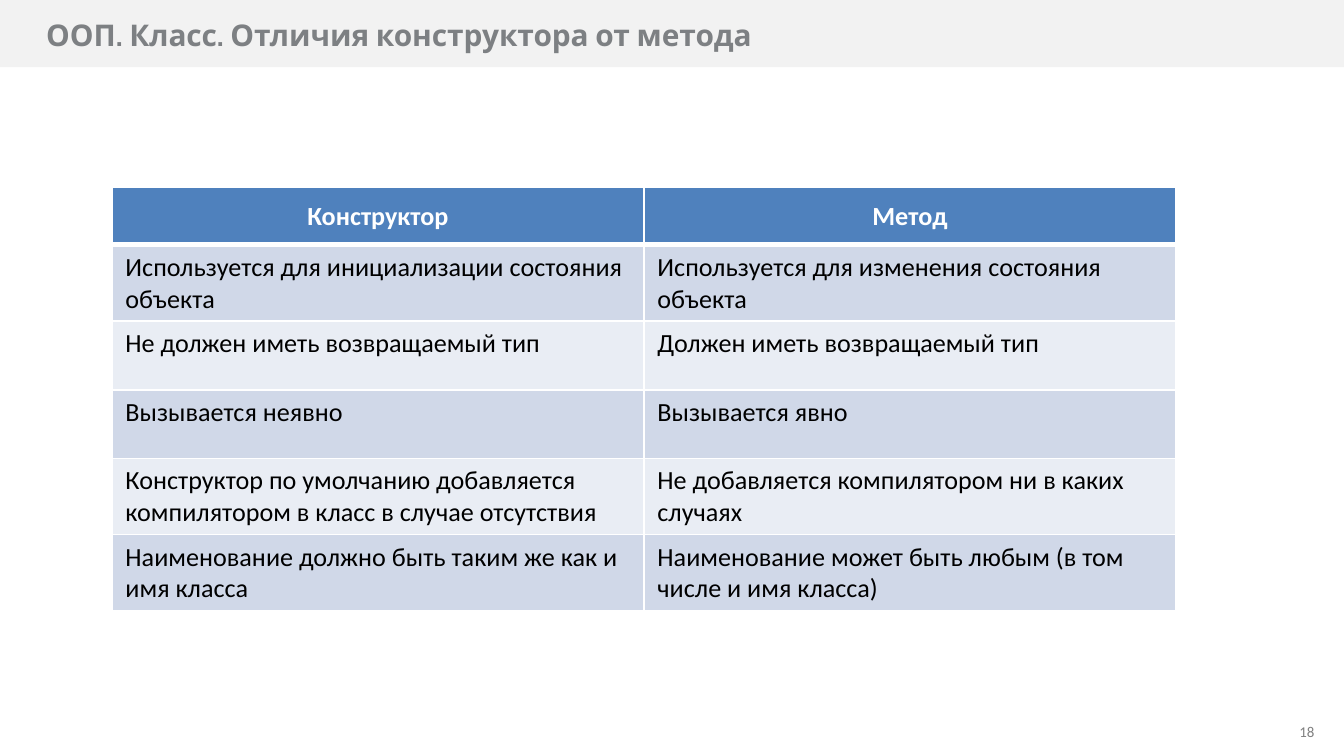
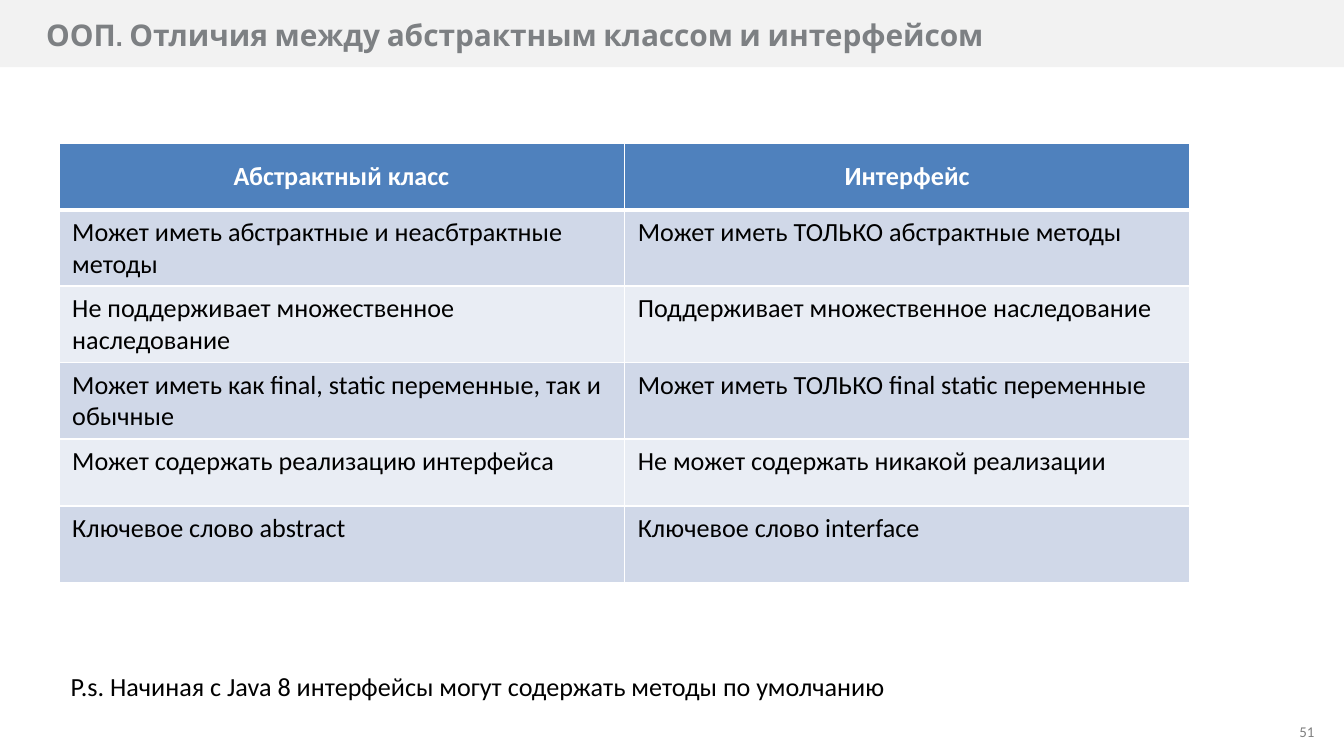
from lxml.etree import SubElement
from pptx import Presentation
from pptx.dml.color import RGBColor
from pptx.enum.shapes import MSO_SHAPE as SHAPE
from pptx.enum.text import MSO_ANCHOR as ANCHOR, MSO_AUTO_SIZE as AUTO, PP_ALIGN as ALIGN
from pptx.oxml.ns import qn
from pptx.util import Pt

PX = 9525
WIDTH, HEIGHT = 960, 540
WHITE = RGBColor(0xFF, 0xFF, 0xFF)
BLACK = RGBColor(0x00, 0x00, 0x00)
BAND = RGBColor(0xF2, 0xF2, 0xF2)
TITLE = RGBColor(0x7D, 0x80, 0x83)
NUMBER = RGBColor(0x80, 0x80, 0x80)
HEADER = RGBColor(0x4F, 0x81, 0xBD)
STRIPES = RGBColor(0xE9, 0xED, 0xF4), RGBColor(0xD0, 0xD8, 0xE8)

CONSTRUCTOR_ROWS = [
    ("Конструктор", "Метод"),
    ("Используется для инициализации состояния объекта",
     "Используется для изменения состояния объекта"),
    ("Не должен иметь возвращаемый тип", "Должен иметь возвращаемый тип"),
    ("Вызывается неявно", "Вызывается явно"),
    ("Конструктор по умолчанию добавляется компилятором в класс в случае отсутствия",
     "Не добавляется компилятором ни в каких случаях"),
    ("Наименование должно быть таким же как и имя класса",
     "Наименование может быть любым (в том числе и имя класса)"),
]
INTERFACE_ROWS = [
    ("Абстрактный класс", "Интерфейс"),
    ("Может иметь абстрактные и неасбтрактные методы",
     "Может иметь ТОЛЬКО абстрактные методы"),
    ("Не поддерживает множественное наследование",
     "Поддерживает множественное наследование"),
    ("Может иметь как final, static переменные, так и обычные",
     "Может иметь ТОЛЬКО final static переменные"),
    ("Может содержать реализацию интерфейса", "Не может содержать никакой реализации"),
    ("Ключевое слово abstract", "Ключевое слово interface"),
]


def emu(box):
    """Turn px lengths into EMU."""
    return [n * PX for n in box]


def write(tf, text, size=14, font="Calibri", color=BLACK, bold=False, align=ALIGN.LEFT):
    """Put one formatted paragraph into a text frame."""
    p = tf.paragraphs[0]
    p.alignment = align
    r = p.add_run()
    r.text = text
    r.font.size, r.font.name, r.font.bold = Pt(size), font, bold
    r.font.color.rgb = color


def set_insets(tf):
    """Give a text frame the deck's insets and middle anchor."""
    tf.margin_left = tf.margin_right = 7 * PX
    tf.margin_top = tf.margin_bottom = 4 * PX
    tf.vertical_anchor = ANCHOR.MIDDLE
    tf.word_wrap = True


def add_master_band(prs, s, box):
    """Draw the title band and move it behind everything on the master."""
    sp = s.shapes.add_shape(SHAPE.RECTANGLE, *emu(box))
    sp.shadow.inherit = False
    sp.fill.solid()
    sp.fill.fore_color.rgb = BAND
    sp.line.fill.background()
    prs.slide_master.shapes.element.insert(2, sp.element)


def add_title(s, text, box):
    """Place and fill the title placeholder."""
    sp = s.shapes.title
    sp.left, sp.top, sp.width, sp.height = emu(box)
    set_insets(sp.text_frame)
    sp.text_frame.auto_size = AUTO.SHAPE_TO_FIT_TEXT
    write(sp.text_frame, text, size=16, font="Cabin", color=TITLE, bold=True)


def add_number(s, number, box):
    """Write the slide number at the lower right."""
    tf = s.shapes.add_textbox(*emu(box)).text_frame
    set_insets(tf)
    write(tf, str(number), size=8, color=NUMBER, align=ALIGN.RIGHT)


def add_note(s, text, box):
    """Write a remark on one line."""
    tf = s.shapes.add_textbox(*emu(box)).text_frame
    tf.word_wrap = False
    tf.auto_size = AUTO.SHAPE_TO_FIT_TEXT
    write(tf, text)


def set_borders(cell, top, bottom):
    """Give a cell white borders, with top and bottom widths in points."""
    tc_pr = cell._tc.get_or_add_tcPr()
    for i, (side, width) in enumerate(zip("LRTB", (1, 1, top, bottom))):
        ln = SubElement(tc_pr, qn(f"a:ln{side}"), w=str(Pt(width)))
        fill = SubElement(ln, qn("a:solidFill"))
        SubElement(fill, qn("a:srgbClr"), val=str(WHITE))
        tc_pr.insert(i, ln)


def add_comparison(s, rows, box, heights):
    """Draw a striped table with equal columns and a header row."""
    columns = len(rows[0])
    frame = s.shapes.add_table(len(rows), columns, *emu(box))
    table = frame.table
    for column in table.columns:
        column.width = box[2] * PX // columns
    for i, (texts, height) in enumerate(zip(rows, heights)):
        table.rows[i].height = height * PX
        for j, text in enumerate(texts):
            cell = table.cell(i, j)
            cell.fill.solid()
            cell.fill.fore_color.rgb = STRIPES[i % 2] if i else HEADER
            set_borders(cell, top=3 if i == 1 else 1, bottom=1 if i else 3)
            if i:
                write(cell.text_frame, text)
            else:
                cell.vertical_anchor = ANCHOR.MIDDLE
                write(cell.text_frame, text, color=WHITE, bold=True, align=ALIGN.CENTER)
    frame.height = box[3] * PX


def add_comparison_slide(prs, title, number, rows, box, heights):
    """Add a slide with a title, a number and a comparison table."""
    s = prs.slides.add_slide(prs.slide_layouts[5])
    add_title(s, title, (26, 8, 779, 34))
    add_number(s, number, (722, 508, 224, 29))
    add_comparison(s, rows, box, heights)
    return s


def main():
    """Build and save the deck."""
    prs = Presentation()
    prs.slide_width, prs.slide_height = emu((WIDTH, HEIGHT))
    s = add_comparison_slide(prs, "ООП. Класс. Отличия конструктора от метода", 18,
                             CONSTRUCTOR_ROWS, (80, 134, 760, 303), [41] + [49] * 5)
    add_master_band(prs, s, (0, 0, WIDTH, 48))
    s = add_comparison_slide(prs, "ООП. Отличия между абстрактным классом и интерфейсом", 51,
                             INTERFACE_ROWS, (42, 102, 808, 313), [48] * 5 + [55])
    add_note(s, "P.s. Начиная с Java 8 интерфейсы могут содержать методы по умолчанию",
             (41, 474, 606, 33))
    prs.save("out.pptx")


if __name__ == "__main__":
    main()
